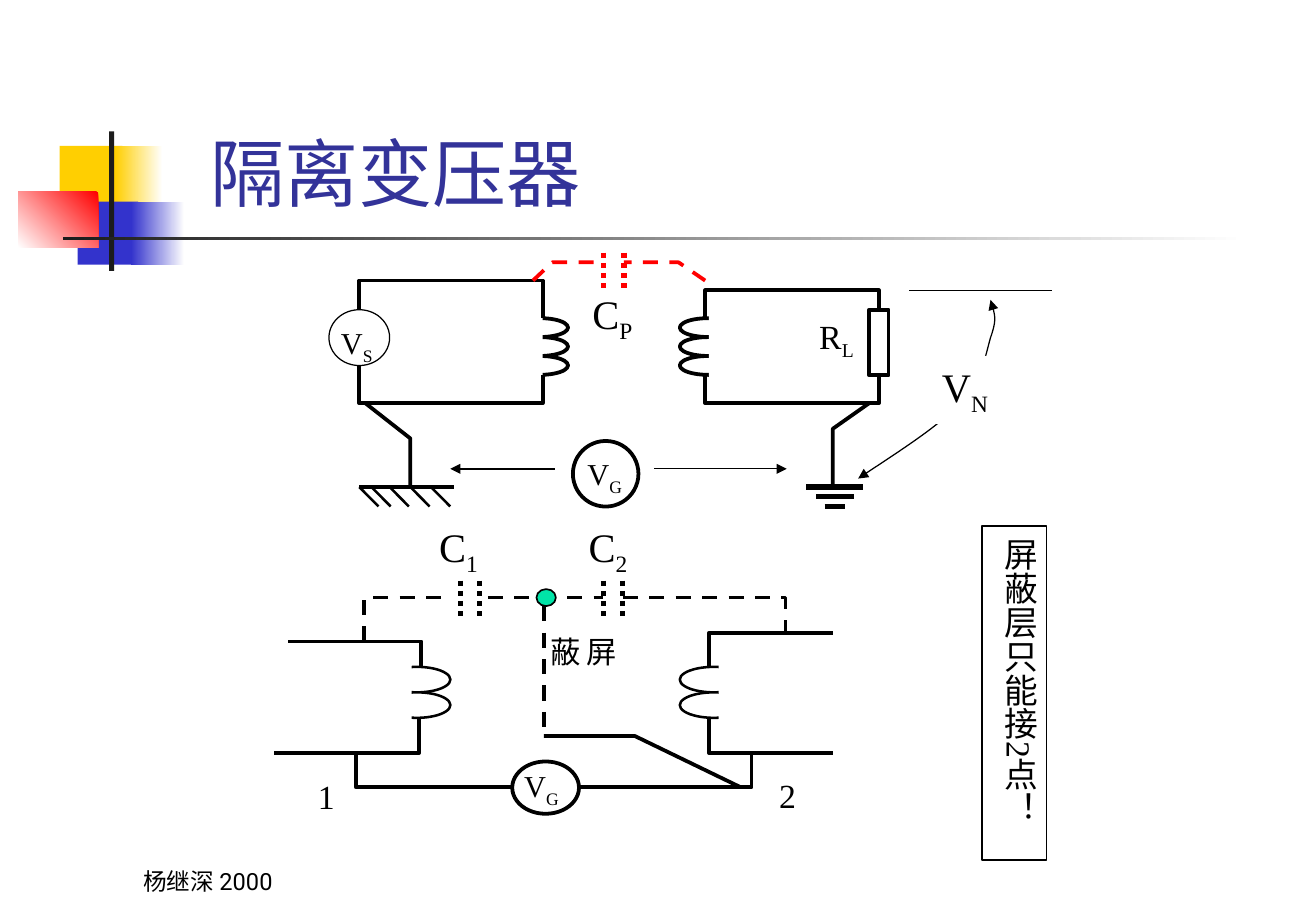
from pptx import Presentation
from pptx import util as u
from pptx.dml.color import RGBColor
from pptx.enum import dml, shapes, text
from pptx.oxml.ns import qn
from lxml import etree

BLACK, WHITE, RED = "000000", "FFFFFF", "FF0000"
YELLOW, BLUE, DARK = "FFCF01", "3333CC", "1C1C1C"
SERIF, SANS = "Times New Roman", "Roboto"
DASH, DOTS = dml.MSO_LINE.DASH, dml.MSO_LINE.ROUND_DOT
RECT, OVAL = shapes.MSO_SHAPE.RECTANGLE, shapes.MSO_SHAPE.OVAL

# Boxes are left, top, width, height; gradients are first colour, last colour, angle
TITLE, TITLE_BOX = "隔离变压器", (117.4, 41.8, 500.4, 90)
AUTHOR, AUTHOR_BOX = "杨继深 2000", (77.8, 498.2, 162.7, 36)
DECOR = [
    ((35.3, 86.4, 37.4, 37.4), YELLOW),
    ((68.4, 86.4, 28, 37.4), (WHITE, YELLOW, 180)),
    ((46, 119.5, 36, 37.4), BLUE),
    ((77.8, 119.5, 31.7, 37.4), (WHITE, BLUE, 180)),
    ((10.8, 113.8, 47.5, 33), (RED, WHITE, 225)),
    ((64.8, 77.8, 2.9, 82.8), DARK),
    ((37.4, 140.4, 702, 2.2), (WHITE, DARK, 180)),
]
# First turn, number of turns, line width, box that hides the inner half
COILS = [
    ((303.8, 188.6, 33.1, 11.2), 3, 2.25, (299.5, 172.1, 22.3, 55.4)),
    ((403.2, 188.6, 33.8, 11.2), 3, 2.25, (420.5, 177.8, 22.3, 55.4)),
    ((227.5, 395.3, 39.6, 15.1), 2, 1.5, (216, 390.2, 28.1, 71.3)),
    ((403.2, 395.3, 40.3, 15.1), 2, 1.5, (426.2, 390.2, 28.1, 71.3)),
]
WIRES = [
    [(321.8, 188.6), (321.8, 166.3), (213.1, 166.3), (213.1, 183.6)],
    [(213.1, 216.7), (213.1, 239), (321.8, 239), (321.8, 222.5)],
    [(418.3, 188.6), (418.3, 172.1), (521.3, 172.1), (521.3, 183.6)],
    [(418.3, 222.5), (418.3, 239), (521.3, 239), (521.3, 222.5)],
    [(216.7, 239), (243.4, 259.9), (243.4, 288.7)],
    [(515.5, 239), (493.9, 254.2), (493.9, 288.7)],
    [(213.1, 288.7), (269.3, 288.7)],
    [(249.8, 395.3), (249.8, 380.2), (170.6, 380.2)],
    [(248.4, 425.5), (248.4, 446.4), (162.7, 446.4)],
    [(493.9, 375.1), (420.5, 375.1), (420.5, 395.3)],
    [(493.9, 446.4), (420.5, 446.4), (420.5, 425.5)],
    [(211, 446.4), (211, 466.6), (445.7, 466.6), (445.7, 446.4)],
    [(322.6, 436.3), (376.6, 436.3), (439.2, 466.6)],
]
STRAY_PATHS = [
    (RED, [(316.1, 166.3), (327.6, 155.5), (352.1, 155.5)]),
    (RED, [(418.3, 166.3), (402.5, 155.5), (370.1, 155.5)]),
    (BLACK, [(216, 380.2), (216, 354.2), (267.1, 354.2)]),
    (BLACK, [(289.4, 354.2), (357.8, 354.2)]),
    (BLACK, [(369.4, 354.2), (465.8, 354.2), (465.8, 375.1)]),
    (BLACK, [(322.6, 359.3), (322.6, 436.3)]),
]
# Colour, x of both plates, top, bottom
CAPACITORS = [
    (RED, (357.8, 370.1), 149.8, 172.1),
    (BLACK, (272.9, 284.4), 344.2, 365),
    (BLACK, (357.8, 369.4), 344.2, 365),
]
GROUND_TOP, GROUND_BOTTOM = 288.7, 300.2
HATCH_STARTS, HATCH_RUN = (213.1, 220.3, 231.1, 243.4, 255.6), 11.4
EARTH_CENTRE, EARTH_HALF_WIDTHS = 495.2, (16.9, 11.2, 6.1)
ARROWS = [([(329, 277.9), (267.1, 277.9)], 1), ([(388.1, 277.9), (466.6, 277.9)], 0.75)]
NOISE_LEVEL = [(539.3, 172.1), (624.2, 172.1)]
NOISE_CURVE = [
    (587.5, 177.8),
    (589.7, 183.6), (591.1, 190.1), (587.5, 200.2),
    (584.6, 210.2), (582.5, 225.4), (569.5, 239),
    (556.6, 252.7), (532.8, 267.8), (509, 283.7),
]
# Preset, box, fill, line width
PARTS = [
    (OVAL, (195.1, 183.6, 36, 33.1), None, 0.75),
    (RECT, (515.5, 183.6, 11.5, 38.9), None, 2.25),
    (OVAL, (339.8, 261.4, 38.9, 38.9), WHITE, 2.25),
    (OVAL, (303.8, 451.4, 39.6, 31), WHITE, 2.25),
    (OVAL, (318.2, 349.2, 11.5, 10.1), "00E4A8", 1),
]
# Letter, subscript, size, box
LABELS = [
    ("C", "P", 24, (344.2, 167.8, 48.2, 40.3)),
    ("C", "1", 24, (253.4, 306, 45.4, 40.3)),
    ("C", "2", 24, (342, 306, 48.2, 40.3)),
    ("V", "S", 18, (195.1, 188.6, 38.9, 31.7)),
    ("V", "G", 18, (341.3, 266.4, 38.9, 31.7)),
    ("V", "G", 18, (303.8, 451.4, 45.4, 31.7)),
    ("R", "L", 20, (478.8, 183.6, 50.4, 34.6)),
    ("1", "", 20, (181.4, 456.5, 39.6, 31.7)),
    ("2", "", 20, (455, 455.8, 39.6, 31.7)),
]
NOISE_LABEL = ("V", "N", 24, (551.5, 211, 50.4, 40.3))
SHIELD_LABEL = ("屏蔽", "", 18, (334.8, 370.1, 36, 50))
SHIELD_RULE = ("屏蔽层只能接2点！", "", 20, (582.5, 311.8, 38.2, 198))

deck = Presentation()
deck.slide_width, deck.slide_height = u.Pt(780.48), u.Pt(540)
slide = deck.slides.add_slide(deck.slide_layouts[5])


def rgb(value):
    return RGBColor.from_string(value)


def points(values):
    return [u.Pt(v) for v in values]


def set_line(line, color, width, dash=None, ends=()):
    """Format a line; ends may hold headEnd and tailEnd."""
    line.color.rgb, line.width = rgb(color), u.Pt(width)
    if dash:
        line.dash_style = dash
    for end in ends:
        etree.SubElement(line._get_or_add_ln(), qn("a:" + end), type="triangle")


def add_part(preset, box, fill=None, width=0):
    part = slide.shapes.add_shape(preset, *points(box))
    part.shadow.inherit = False
    if isinstance(fill, tuple):
        part.fill.gradient()
        part.fill.gradient_angle = fill[2]
        for stop, color in zip(part.fill.gradient_stops, fill):
            stop.color.rgb = rgb(color)
    elif fill:
        part.fill.solid()
        part.fill.fore_color.rgb = rgb(fill)
    else:
        part.fill.background()
    if width:
        set_line(part.line, BLACK, width)
    else:
        part.line.fill.background()


def add_wire(route, color=BLACK, width=2.25, dash=None, ends=()):
    """Draw a connector for two points, an open outline for more."""
    if len(route) == 2:
        wire = slide.shapes.add_connector(
            shapes.MSO_CONNECTOR.STRAIGHT, *points(route[0] + route[1]))
        set_line(wire.line, color, width, dash, ends)
        etree.SubElement(wire._element.spPr, qn("a:effectLst"))
        return wire
    start, *rest = [points(p) for p in route]
    builder = slide.shapes.build_freeform(*start)
    builder.add_line_segments(rest, close=False)
    wire = builder.convert_to_shape()
    wire.shadow.inherit = False
    wire.fill.background()
    set_line(wire.line, color, width, dash, ends)
    return wire


def bend(wire):
    """Turn every three straight segments into one Bezier segment."""
    segments = list(wire._element.iter(qn("a:lnTo")))
    for i in range(0, len(segments), 3):
        first = segments[i]
        first.tag = qn("a:cubicBezTo")
        for other in segments[i + 1:i + 3]:
            first.append(other[0])
            other.getparent().remove(other)


def format_run(run, size, font, color=BLACK):
    run.font.size, run.font.name = u.Pt(size), font
    run.font.color.rgb = rgb(color)


def add_label(letter, subscript, size, box, vertical=False):
    label = slide.shapes.add_textbox(*points(box))
    frame = label.text_frame
    frame.word_wrap = True
    frame.auto_size = text.MSO_AUTO_SIZE.SHAPE_TO_FIT_TEXT
    frame.text = letter
    paragraph = frame.paragraphs[0]
    paragraph.space_before = u.Pt(size * 0.625)
    if vertical:
        frame._txBody.bodyPr.set("vert", "eaVert")
        frame.margin_left = frame.margin_right = u.Pt(3.6)
        frame.margin_top = frame.margin_bottom = u.Pt(7.2)
        paragraph.alignment = text.PP_ALIGN.CENTER
    if subscript:
        lower = paragraph.add_run()
        lower.text = subscript
        lower.font._element.set("baseline", "-25000")
    for run in paragraph.runs:
        format_run(run, size, SERIF)
    return label


for box, fill in DECOR:
    add_part(RECT, box, fill)

title = slide.shapes.title
title.left, title.top, title.width, title.height = points(TITLE_BOX)
author = slide.shapes.add_textbox(*points(AUTHOR_BOX))
for holder, words, size, color in [(title, TITLE, 44, "333399"), (author, AUTHOR, 14, BLACK)]:
    holder.text_frame.text = words
    holder.text_frame.word_wrap = True
    holder.text_frame.vertical_anchor = text.MSO_ANCHOR.BOTTOM
    line_of_text = holder.text_frame.paragraphs[0]
    line_of_text.alignment = text.PP_ALIGN.LEFT
    format_run(line_of_text.runs[0], size, SANS, color)

for (left, top, width, height), turns, weight, mask in COILS:
    for turn in range(turns):
        add_part(OVAL, (left, top + turn * height, width, height), WHITE, weight)
    add_part(RECT, mask, WHITE)

for route in WIRES:
    add_wire(route)
for color, route in STRAY_PATHS:
    add_wire(route, color, dash=DASH)
for color, plates, top, bottom in CAPACITORS:
    for x in plates:
        add_wire([(x, top), (x, bottom)], color, 3, DOTS)
for x in HATCH_STARTS:
    add_wire([(x, GROUND_TOP), (x + HATCH_RUN, GROUND_BOTTOM)], width=1.5)
for i, half in enumerate(EARTH_HALF_WIDTHS):
    y = GROUND_TOP + i * (GROUND_BOTTOM - GROUND_TOP) / 2
    add_wire([(EARTH_CENTRE - half, y), (EARTH_CENTRE + half, y)], width=3)
for route, width in ARROWS:
    add_wire(route, width=width, ends=["tailEnd"])
add_wire(NOISE_LEVEL, width=0.75)
bend(add_wire(NOISE_CURVE, width=0.75, ends=["headEnd", "tailEnd"]))

for part in PARTS:
    add_part(*part)
for label in LABELS:
    add_label(*label)
noise = add_label(*NOISE_LABEL)
noise.fill.solid()
noise.fill.fore_color.rgb = rgb(WHITE)
add_label(*SHIELD_LABEL, vertical=True)
set_line(add_label(*SHIELD_RULE, vertical=True).line, BLACK, 0.75)

deck.save("out.pptx")
